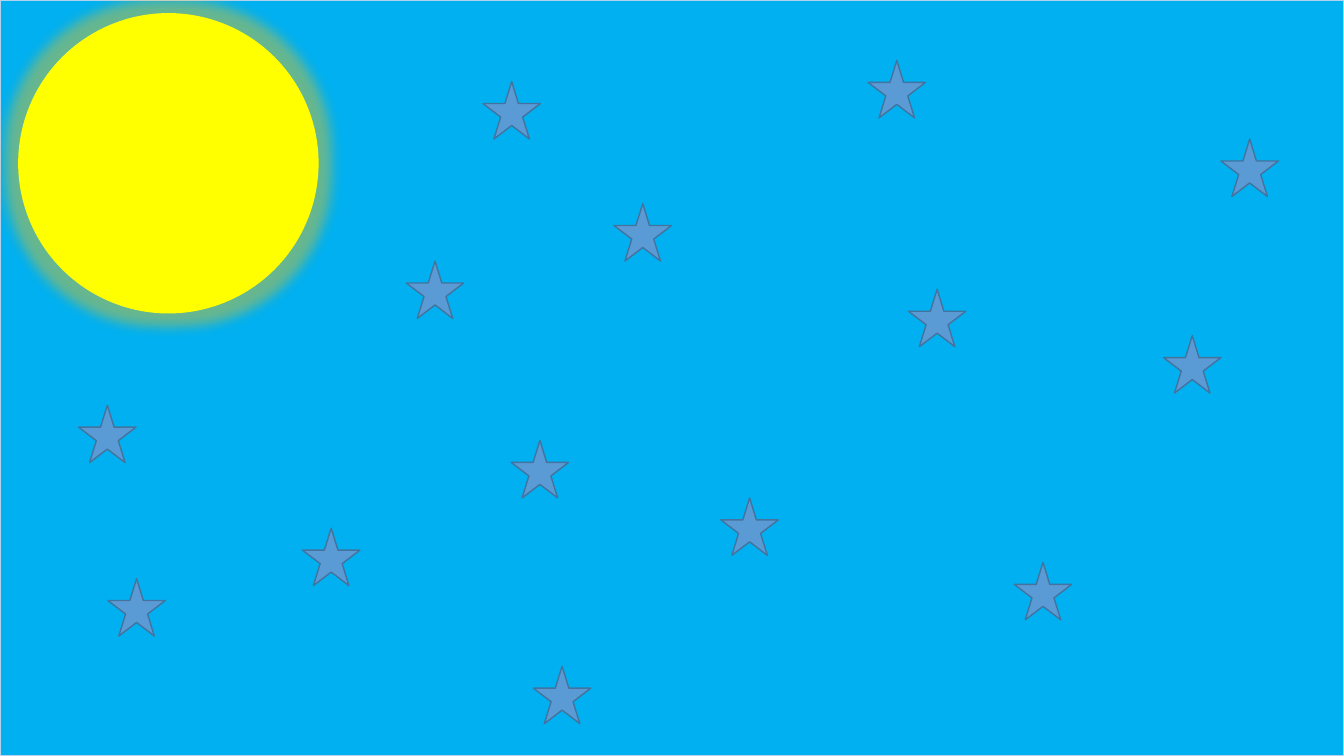
from lxml.etree import SubElement
from pptx import Presentation
from pptx.dml.color import RGBColor
from pptx.enum.shapes import MSO_SHAPE
from pptx.oxml.ns import qn
from pptx.util import Inches, Pt

SKY_BLUE = RGBColor(0x00, 0xB0, 0xF0)
SKY_EDGE = RGBColor(0xB5, 0xD2, 0xEC)
SUN_YELLOW = RGBColor(0xFF, 0xFF, 0x00)
SUN_GLOW = RGBColor(0xFF, 0xC0, 0x00)
STAR_BLUE = RGBColor(0x5B, 0x9B, 0xD5)
STAR_EDGE = RGBColor(0x43, 0x73, 0x9E)

SUN_SIZE = 2.98
STAR_SIZE = 0.57
STAR_POSITIONS = [
    (12.11, 1.38), (11.54, 3.33), (0.78, 4.02), (5.07, 4.37), (3, 5.24),
    (7.15, 4.94), (6.09, 2.02), (5.29, 6.61), (1.07, 5.74), (9.01, 2.87),
    (10.06, 5.58), (4.79, 0.81), (4.03, 2.59), (8.61, 0.6),
]

prs = Presentation()
prs.slide_width = Inches(13.33)
prs.slide_height = Inches(7.5)
slide = prs.slides.add_slide(prs.slide_layouts[6])


def add_filled(preset, left, top, width, height, fill, edge=None):
    """Add a preset shape, measured in inches; without an edge it has no outline."""
    shape = slide.shapes.add_shape(
        preset, Inches(left), Inches(top), Inches(width), Inches(height))
    shape.shadow.inherit = False
    shape.fill.solid()
    shape.fill.fore_color.rgb = fill
    if edge is None:
        shape.line.fill.background()
    else:
        shape.line.color.rgb = edge
        shape.line.width = Pt(1)
    return shape


add_filled(MSO_SHAPE.RECTANGLE, 0, 0, 13.33, 7.5, SKY_BLUE, SKY_EDGE)

sun = add_filled(MSO_SHAPE.OVAL, 0.18, 0.13, SUN_SIZE, SUN_SIZE, SUN_YELLOW)
effects = sun.element.spPr.find(qn("a:effectLst"))
glow = SubElement(effects, qn("a:glow"), rad=str(Pt(18)))
glow_color = SubElement(glow, qn("a:srgbClr"), val=str(SUN_GLOW))
SubElement(glow_color, qn("a:alpha"), val="40000")

for left, top in STAR_POSITIONS:
    add_filled(MSO_SHAPE.STAR_5_POINT, left, top, STAR_SIZE, STAR_SIZE,
               STAR_BLUE, STAR_EDGE)

prs.save("out.pptx")
